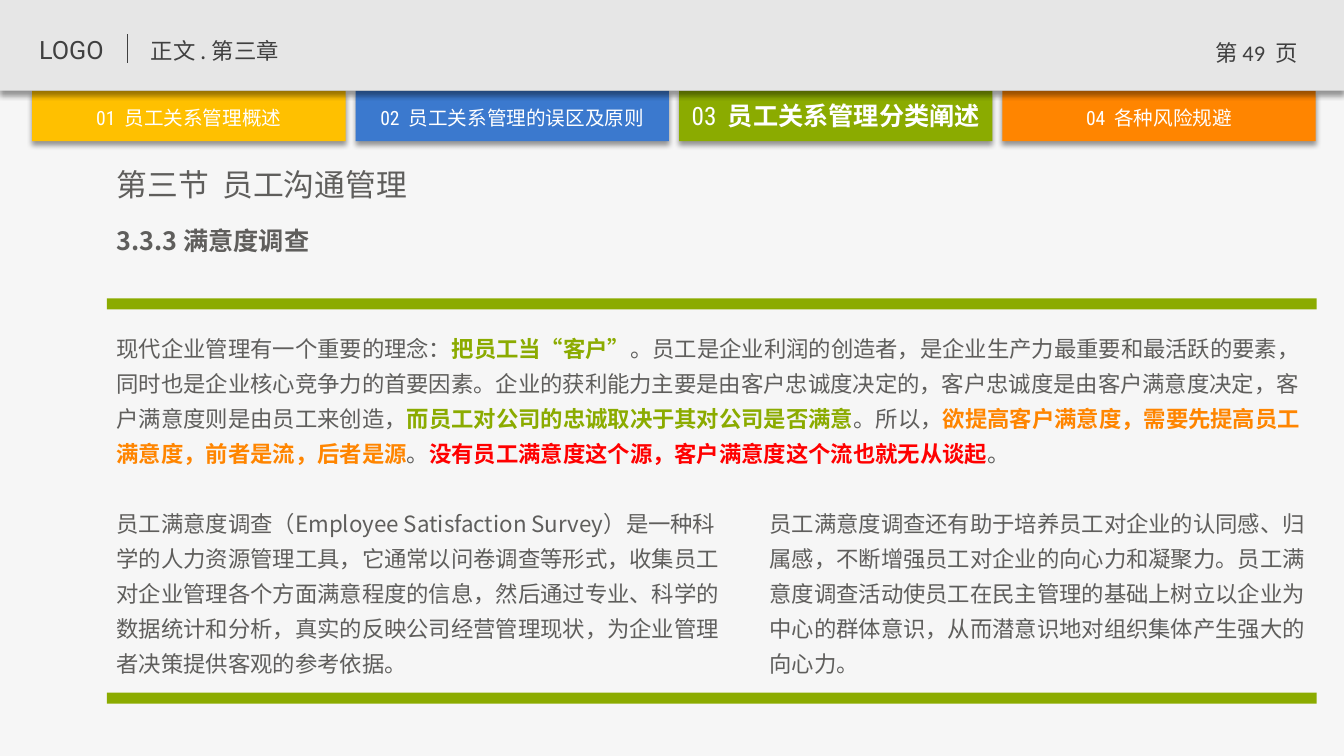
from lxml import etree
from pptx import Presentation
from pptx import util as u
from pptx.dml.color import RGBColor
from pptx.enum import shapes, text
from pptx.oxml import parse_xml
from pptx.oxml.ns import nsdecls, qn

PX = 9144  # 100 px to the inch
CJK, ROBOTO, CONDENSED = "Noto Sans CJK SC", "Roboto", "Roboto Condensed"
DARK, GREY, WHITE = "404040", "5F5E5C", "FFFFFF"
YELLOW, BLUE, GREEN, ORANGE, RED = "FFC000", "3B79CE", "8BAB00", "FF8500", "FF0000"
SHADOW = (
    f'<a:effectLst {nsdecls("a")}><a:outerShdw blurRad="50800" dist="38100" dir="5400000" '
    'algn="t" rotWithShape="0"><a:srgbClr val="000000"><a:alpha val="40000"/></a:srgbClr>'
    "</a:outerShdw></a:effectLst>"
)

deck = Presentation()
deck.slide_width, deck.slide_height = 1334 * PX, 750 * PX
page = deck.slides.add_slide(deck.slide_layouts[6])
page.background.fill.solid()
page.background.fill.fore_color.rgb = RGBColor.from_string("F6F6F6")


def add_bar(left, top, width, height, color, shadow=False):
    bar = page.shapes.add_shape(
        shapes.MSO_SHAPE.RECTANGLE, left * PX, top * PX, width * PX, height * PX)
    bar.fill.solid()
    bar.fill.fore_color.rgb = RGBColor.from_string(color)
    bar.line.fill.background()
    bar.shadow.inherit = False
    if shadow:
        properties = bar._element.spPr
        properties.replace(properties.find(qn("a:effectLst")), parse_xml(SHADOW))


def add_text(left, top, width, height, size, color, spans, line=None, center=False, tight=False):
    """Add one paragraph; a span is (words, font, color, bold), with trailing items optional.

    A span of one space is a gap of double width.
    """
    box = page.shapes.add_textbox(left * PX, top * PX, width * PX, height * PX)
    frame = box.text_frame
    frame.word_wrap = True
    if tight:
        frame.margin_left = frame.margin_right = frame.margin_top = frame.margin_bottom = 0
        frame.vertical_anchor = text.MSO_ANCHOR.MIDDLE
    para = frame.paragraphs[0]
    if center:
        para.alignment = text.PP_ALIGN.CENTER
    if line:
        para.line_spacing = line
    for words, *style in spans:
        font, shade, bold = style + [CJK, color, False][len(style):]
        span = para.add_run()
        span.text = words
        span.font.size = u.Pt(size)
        span.font.name = font
        span.font.bold = bold
        span.font.color.rgb = RGBColor.from_string(shade)
        properties = span._r.get_or_add_rPr()
        etree.SubElement(properties, qn("a:ea")).set("typeface", font)
        if words == " ":
            properties.set("spc", str(size * 22))


# Chapter tabs hang from under the header band
tabs = [
    ("01", "员工关系管理概述", YELLOW),
    ("02", "员工关系管理的误区及原则", BLUE),
    ("03", "员工关系管理分类阐述", GREEN),
    ("04", "各种风险规避", ORANGE),
]
TAB_LEFT, TAB_STEP, TAB_WIDTH = 32, 321, 311
for index, (number, title, color) in enumerate(tabs):
    left = TAB_LEFT + index * TAB_STEP
    current = number == "03"
    add_bar(left, 90, TAB_WIDTH, 50, color, shadow=True)
    add_text(left, 98 if current else 105, TAB_WIDTH, 34 if current else 24,
             18 if current else 14, WHITE,
             [(number, CONDENSED), (" ", CONDENSED), (title, CJK, WHITE, current)],
             center=True, tight=True)

# Header
add_bar(0, 0, 1334, 90, "E6E6E6", shadow=True)
add_text(29, 29, 98, 40, 18, DARK, [("LOGO", ROBOTO)])
divider = page.shapes.add_connector(
    shapes.MSO_CONNECTOR.STRAIGHT, 127 * PX, 34 * PX, 127 * PX, 63 * PX)
divider.line.color.rgb = RGBColor.from_string(DARK)
divider.line.width = u.Pt(0.75)
etree.SubElement(divider._element.spPr, qn("a:effectLst"))
add_text(140, 32, 327, 37, 16, DARK, [("正文 . 第三章",)])
add_text(1187, 34, 120, 40, 16, DARK,
         [("第 ",), ("49", "Calibri"), (" ", "Calibri"), ("页",)], center=True)

# Headings
add_text(106, 159, 544, 47, 22, GREY, [("第三节",), (" ",), ("员工沟通管理",)])
add_text(106, 210, 577, 49, 18, GREY, [("3.3.3 满意度调查", CJK, GREY, True)], line=1.3)

# Body between two green rules
for top in (296, 687):
    add_bar(106, top, 1201, 11, GREEN)
add_text(106, 320, 1201, 150, 16, GREY, [
    ("现代企业管理有一个重要的理念：",),
    ("把员工当“客户”", CJK, GREEN, True),
    ("。员工是企业利润的创造者，是企业生产力最重要和最活跃的要素，同时也是企业核心竞争力的首要因素。"
     "企业的获利能力主要是由客户忠诚度决定的，客户忠诚度是由客户满意度决定，"
     "客户满意度则是由员工来创造，",),
    ("而员工对公司的忠诚取决于其对公司是否满意", CJK, GREEN, True),
    ("。所以，",),
    ("欲提高客户满意度，需要先提高员工满意度，前者是流，后者是源", CJK, ORANGE, True),
    ("。",),
    ("没有员工满意度这个源，客户满意度这个流也就无从谈起", CJK, RED, True),
    ("。",),
], line=1.3)
columns = [
    (106, 632, "员工满意度调查（Employee Satisfaction Survey）是一种科学的人力资源管理工具，"
               "它通常以问卷调查等形式，收集员工对企业管理各个方面满意程度的信息，"
               "然后通过专业、科学的数据统计和分析，真实的反映公司经营管理现状，"
               "为企业管理者决策提供客观的参考依据。"),
    (754, 553, "员工满意度调查还有助于培养员工对企业的认同感、归属感，"
               "不断增强员工对企业的向心力和凝聚力。"
               "员工满意度调查活动使员工在民主管理的基础上树立以企业为中心的群体意识，"
               "从而潜意识地对组织集体产生强大的向心力。"),
]
for left, width, words in columns:
    add_text(left, 493, width, 185, 16, GREY, [(words,)], line=1.3)

deck.save("out.pptx")
